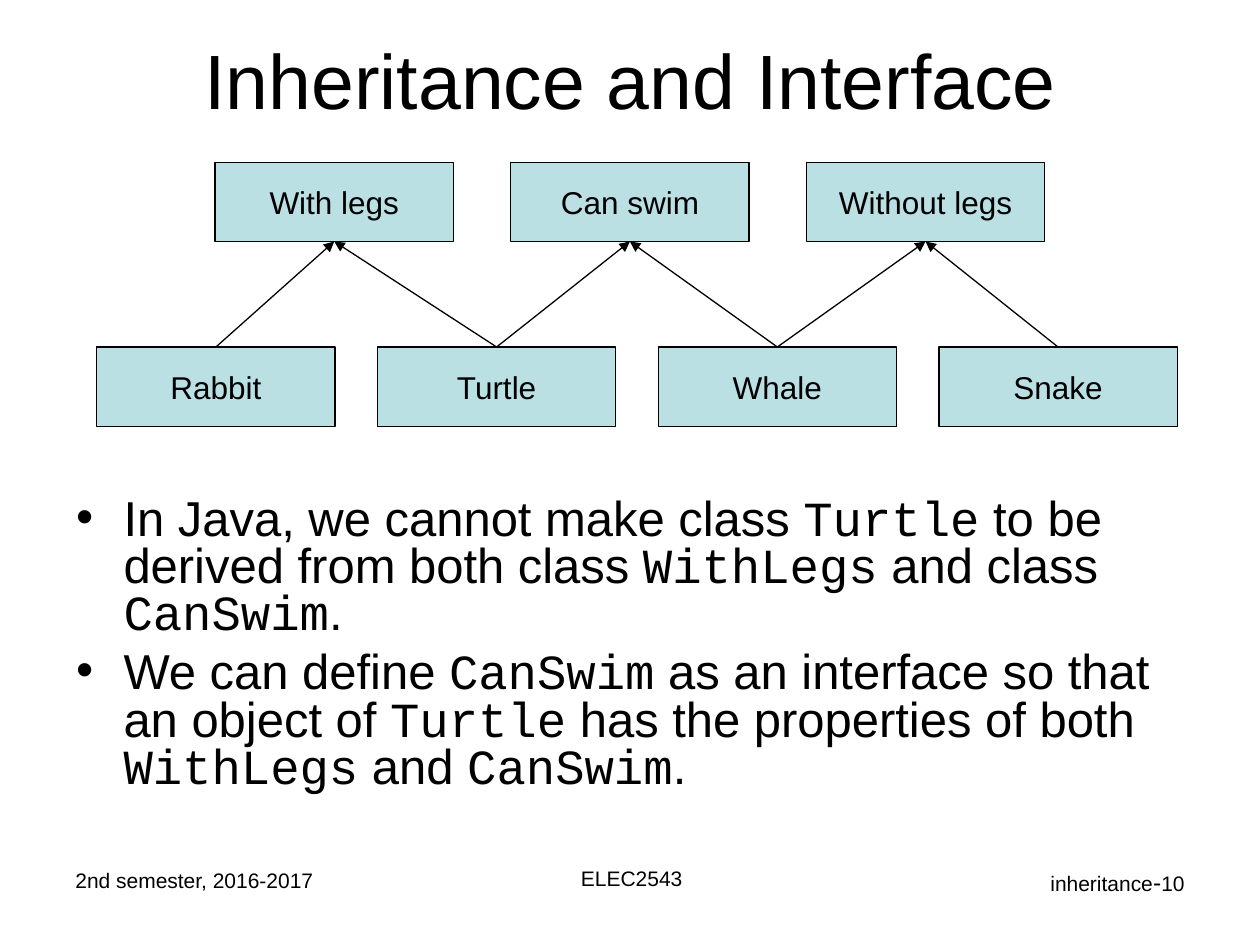
from pptx import Presentation
from pptx.dml.color import RGBColor
from pptx.enum.shapes import MSO_CONNECTOR, MSO_SHAPE
from pptx.enum.text import MSO_ANCHOR, PP_ALIGN
from pptx.oxml.ns import qn
from pptx.util import Pt
from lxml.etree import SubElement

# Content: runs are (text, style), styles are keys of THEME["styles"]
TITLE = "Inheritance and Interface"
ABILITIES = ["With legs", "Can swim", "Without legs"]
ANIMALS = ["Rabbit", "Turtle", "Whale", "Snake"]
DERIVED = [
    ("Rabbit", "With legs"), ("Turtle", "With legs"),
    ("Turtle", "Can swim"), ("Whale", "Can swim"),
    ("Whale", "Without legs"), ("Snake", "Without legs"),
]
BULLETS = [
    [("In Java, we cannot make class ", "body"), ("Turtle", "code"),
     (" to be derived from both class ", "body"), ("WithLegs", "code"),
     (" and class ", "body"), ("CanSwim", "code"), (".", "body")],
    [("We can define ", "body"), ("CanSwim", "code"),
     (" as an interface so that an object of ", "body"), ("Turtle", "code"),
     (" has the properties of both ", "body"), ("WithLegs", "code"),
     (" and ", "body"), ("CanSwim", "code"), (".", "body")],
]
# Footer: left, top, width, alignment, runs
FOOTERS = [
    (36, 492, 168, PP_ALIGN.LEFT, [("2nd semester, 2016-2017", "footer")]),
    (247, 491, 228, PP_ALIGN.CENTER, [("ELEC2543", "footer")]),
    (516, 492, 168, PP_ALIGN.RIGHT,
     [("inheritance", "footer"), ("-", "dash"), ("10", "footer")]),
]

THEME = {
    "ink": RGBColor(0x00, 0x00, 0x00),
    "box": RGBColor(0xBB, 0xE0, 0xE3),
    "line": 0.75,
    "styles": {
        "title": ("Arial", 44),
        "body": ("Arial", 28),
        "code": ("Courier New", 28),
        "box": ("Arial", 18),
        "footer": ("Arial", 12),
        "dash": ("Arial", 14),
    },
}

# Layout in points
BOX_W, BOX_H = 136.2, 45.3
ABILITY_ROW = (122.9, 92.7, 168.95)  # left, top, pitch
ANIMAL_ROW = (55.3, 198.3, 160.4)
INDENT = 27

prs = Presentation()
prs.slide_width, prs.slide_height = Pt(720), Pt(540)
s = prs.slides.add_slide(prs.slide_layouts[6])


def add_runs(p, runs):
    for text, style in runs:
        r = p.add_run()
        r.text = text
        name, size = THEME["styles"][style]
        r.font.name, r.font.size = name, Pt(size)
        r.font.color.rgb = THEME["ink"]


def add_text(left, top, width, height, paragraphs, align=PP_ALIGN.LEFT,
             anchor=MSO_ANCHOR.TOP):
    sp = s.shapes.add_textbox(Pt(left), Pt(top), Pt(width), Pt(height))
    tf = sp.text_frame
    tf.word_wrap = True
    tf.vertical_anchor = anchor
    for i, runs in enumerate(paragraphs):
        p = tf.add_paragraph() if i else tf.paragraphs[0]
        p.alignment = align
        add_runs(p, runs)
    return tf


def add_row(labels, left, top, pitch):
    boxes = {}
    for i, label in enumerate(labels):
        sp = s.shapes.add_shape(MSO_SHAPE.RECTANGLE, Pt(left + i * pitch),
                                Pt(top), Pt(BOX_W), Pt(BOX_H))
        sp.shadow.inherit = False
        sp.fill.solid()
        sp.fill.fore_color.rgb = THEME["box"]
        sp.line.color.rgb = THEME["ink"]
        sp.line.width = Pt(THEME["line"])
        tf = sp.text_frame
        tf.word_wrap = False
        tf.vertical_anchor = MSO_ANCHOR.MIDDLE
        p = tf.paragraphs[0]
        p.alignment = PP_ALIGN.CENTER
        add_runs(p, [(label, "box")])
        boxes[label] = sp
    return boxes


def add_arrow(child, parent):
    cx = s.shapes.add_connector(MSO_CONNECTOR.STRAIGHT, 0, 0, 0, 0)
    cx.begin_connect(child, 0)
    cx.end_connect(parent, 2)
    cx.line.color.rgb = THEME["ink"]
    cx.line.width = Pt(THEME["line"])
    SubElement(cx.line._get_or_add_ln(), qn("a:tailEnd"), type="triangle")
    SubElement(cx._element.spPr, qn("a:effectLst"))


# Title
add_text(36.5, 0, 648, 90, [[(TITLE, "title")]], PP_ALIGN.CENTER,
         MSO_ANCHOR.MIDDLE)

# Bulleted text
for p in add_text(36.5, 281.5, 648, 204, BULLETS).paragraphs:
    p.line_spacing = 0.8
    p.space_before = Pt(7)
    pPr = p._p.get_or_add_pPr()
    pPr.set("marL", str(Pt(INDENT)))
    pPr.set("indent", str(-Pt(INDENT)))
    SubElement(pPr, qn("a:buFont"), typeface="Arial")
    SubElement(pPr, qn("a:buChar"), char="•")

# Class diagram
boxes = add_row(ABILITIES, *ABILITY_ROW) | add_row(ANIMALS, *ANIMAL_ROW)
for child, parent in DERIVED:
    add_arrow(boxes[child], boxes[parent])

# Footer
for left, top, width, align, runs in FOOTERS:
    add_text(left, top, width, 37.5, [runs], align)

prs.save("out.pptx")
